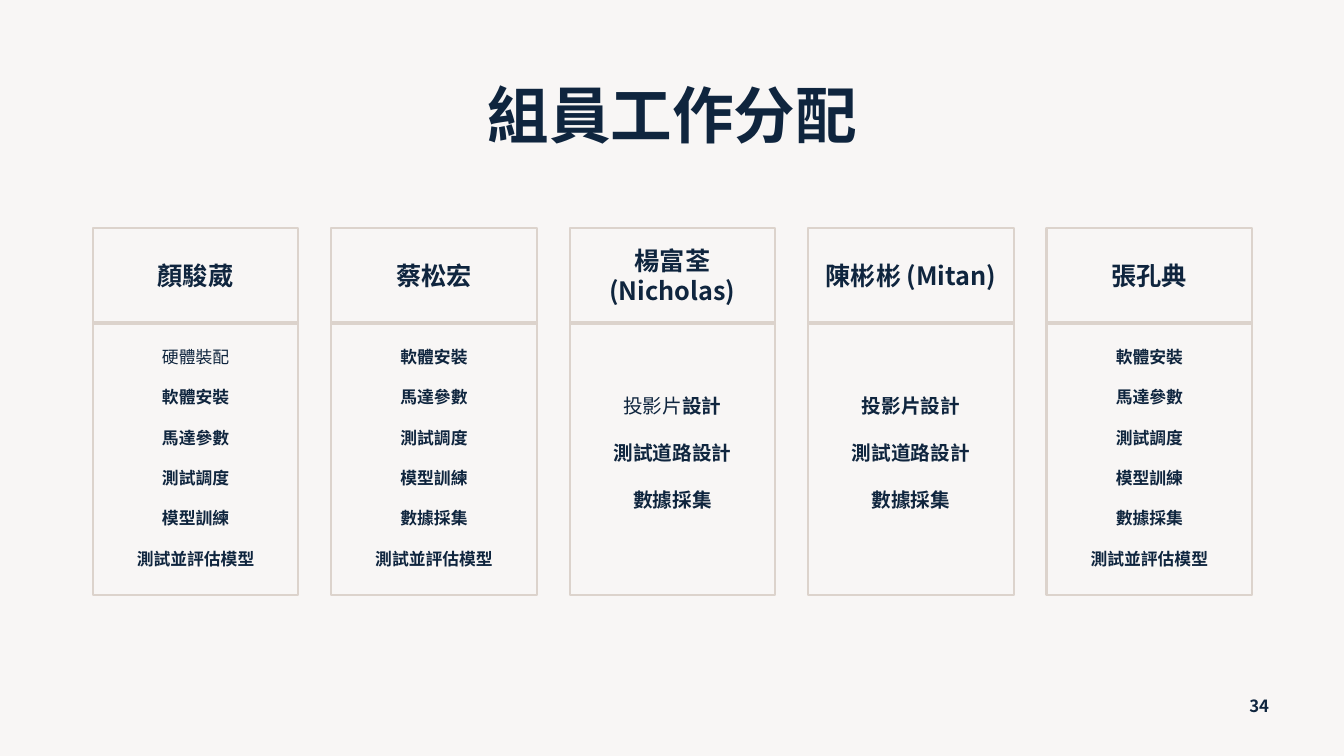
from dataclasses import dataclass

from lxml import etree
from pptx import Presentation
from pptx.dml.color import RGBColor
from pptx.enum.shapes import MSO_SHAPE
from pptx.enum.text import MSO_ANCHOR, PP_ALIGN
from pptx.oxml.ns import qn
from pptx.util import Inches, Pt

RECT = MSO_SHAPE.RECTANGLE
TOP, MIDDLE = MSO_ANCHOR.TOP, MSO_ANCHOR.MIDDLE
CENTER = PP_ALIGN.CENTER


@dataclass(frozen=True)
class Theme:
    font: str = "Noto Sans CJK SC"
    ink: RGBColor = RGBColor(0x0F, 0x25, 0x3E)
    border: RGBColor = RGBColor(0xDC, 0xD3, 0xCC)
    background: RGBColor = RGBColor(0xF8, 0xF6, 0xF5)
    title: int = 44
    name: int = 18
    short_list: int = 14
    long_list: int = 12
    leading: float = 1.2


class Deck:
    """Draws styled elements on the current slide."""

    def __init__(self, prs, theme):
        self.theme = theme
        self.s = prs.slides.add_slide(prs.slide_layouts[6])
        fill = self.s.background.fill
        fill.solid()
        fill.fore_color.rgb = theme.background

    def add_lines(self, sp, lines, size, anchor=MIDDLE, inset=0.05):
        tf = sp.text_frame
        frame = {"word_wrap": True, "vertical_anchor": anchor,
                 "margin_left": Inches(0.1), "margin_right": Inches(0.1),
                 "margin_top": Inches(inset), "margin_bottom": Inches(0.05)}
        for key, value in frame.items():
            setattr(tf, key, value)
        pitch = Pt(size * self.theme.leading)
        for i, runs in enumerate(lines):
            p = tf.paragraphs[0] if i == 0 else tf.add_paragraph()
            p.alignment, p.line_spacing = CENTER, pitch
            p.space_before = pitch if i else Pt(0)
            for text, bold in runs:
                self.add_run(p, text, size, bold)

    def add_run(self, p, text, size, bold):
        r = p.add_run()
        r.text = text
        style = {"name": self.theme.font, "size": Pt(size), "bold": bold}
        for key, value in style.items():
            setattr(r.font, key, value)
        r.font.color.rgb = self.theme.ink
        ea = etree.SubElement(r.font._element, qn("a:ea"))
        ea.set("typeface", self.theme.font)

    def text(self, box, text, size):
        sp = self.s.shapes.add_textbox(*map(Inches, box))
        self.add_lines(sp, [[(text, True)]], size)

    def panel(self, box, lines, size, **layout):
        sp = self.s.shapes.add_shape(RECT, *map(Inches, box))
        sp.shadow.inherit = False
        sp.fill.background()
        sp.line.color.rgb = self.theme.border
        sp.line.width = Pt(1.5)
        self.add_lines(sp, lines, size, **layout)


def bold_lines(*texts):
    return [[(text, True)] for text in texts]


def main():
    prs = Presentation()
    prs.slide_width, prs.slide_height = Inches(13.33), Inches(7.5)
    theme = Theme()
    deck = Deck(prs, theme)
    deck.text((0.92, 0.4, 11.5, 1.45), "組員工作分配", theme.title)

    tuning = bold_lines("馬達參數", "測試調度", "模型訓練")
    install = bold_lines("軟體安裝")
    evaluate = bold_lines("測試並評估模型")
    collect = bold_lines("數據採集")
    road = bold_lines("測試道路設計") + collect
    software = install + tuning + collect + evaluate
    members = [
        ("顏駿葳", [[("硬體裝配", False)]] + install + tuning + evaluate),
        ("蔡松宏", software),
        ("楊富荃 (Nicholas)", [[("投影片", False), ("設計", True)]] + road),
        ("陳彬彬 (Mitan)", bold_lines("投影片設計") + road),
        ("張孔典", software),
    ]
    left, right, width = 0.92, 10.38, 2.04
    step = (right - left) / (len(members) - 1)
    for i, (name, tasks) in enumerate(members):
        x = left + i * step
        is_long = len(tasks) > 3
        size = theme.long_list if is_long else theme.short_list
        deck.panel((x, 3.2, width, 2.7), tasks, size,
                   anchor=TOP, inset=0.24 if is_long else 0.71)
        deck.panel((x, 2.26, width, 0.95), bold_lines(name), theme.name)

    deck.text((12.24, 6.8, 0.5, 0.4), "34", theme.long_list)
    prs.save("out.pptx")


if __name__ == "__main__":
    main()
